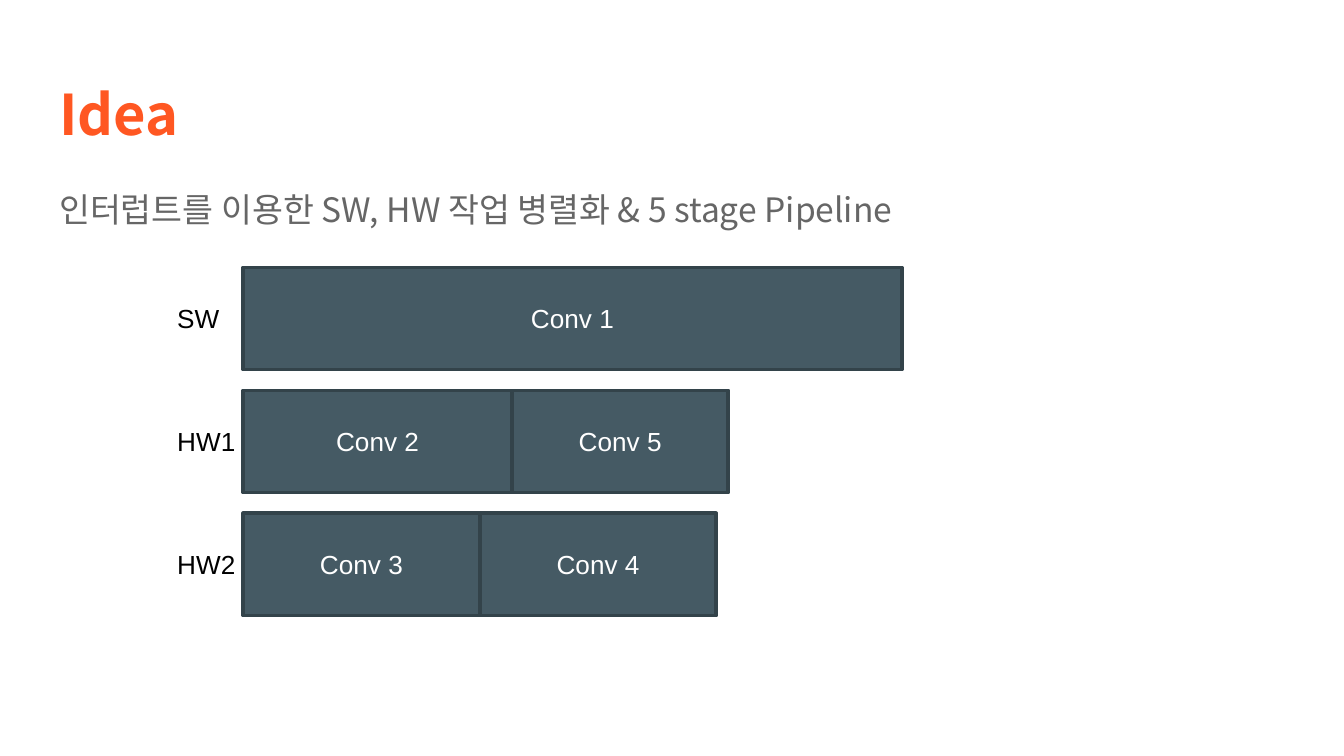
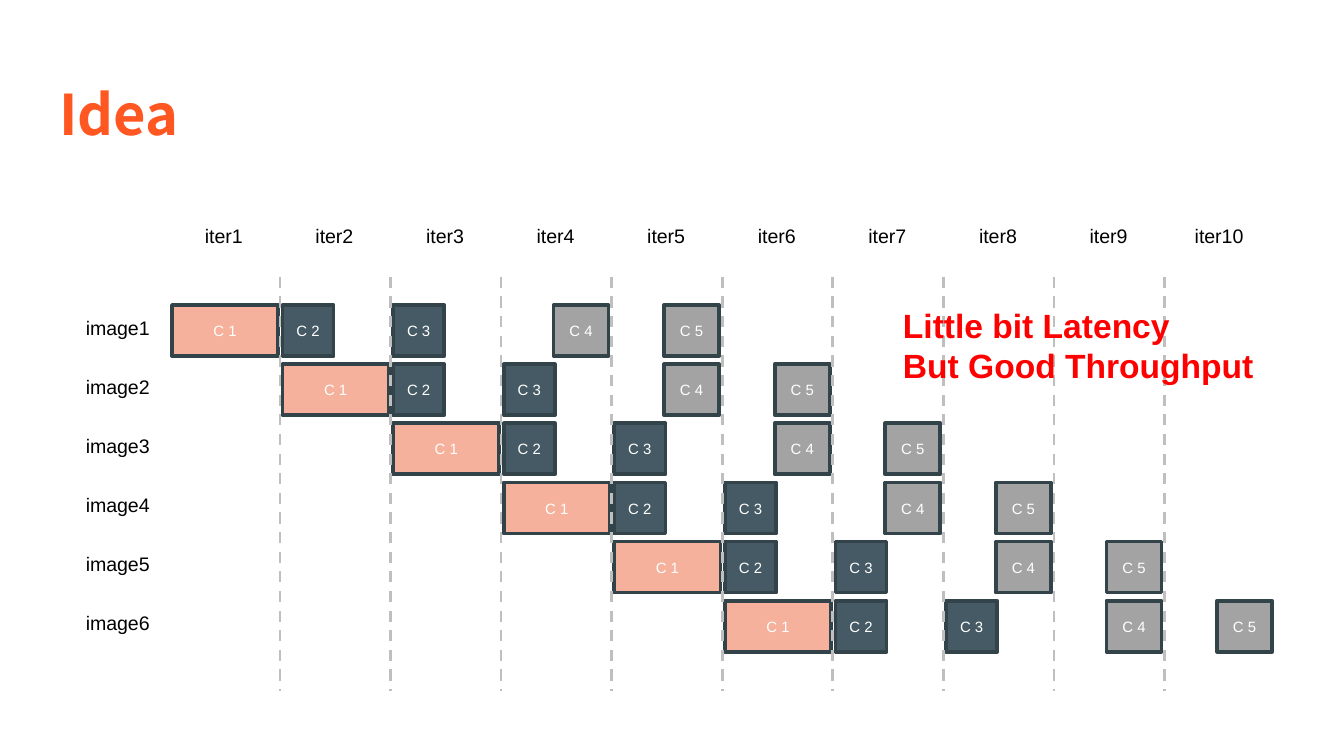
from dataclasses import dataclass
from typing import NamedTuple, Union

import lxml.etree
import pptx
import pptx.dml.color
import pptx.enum.dml
import pptx.enum.shapes
import pptx.enum.text
import pptx.oxml.ns
import pptx.presentation
import pptx.shapes.autoshape
import pptx.shapes.shapetree
import pptx.slide
import pptx.text.text
import pptx.util

Shapes = Union[pptx.shapes.shapetree.SlideShapes, pptx.shapes.shapetree.GroupShapes]
ALIGN = pptx.enum.text.PP_ALIGN
ANCHOR = pptx.enum.text.MSO_ANCHOR
AUTO_SIZE = pptx.enum.text.MSO_AUTO_SIZE
qn = pptx.oxml.ns.qn

SLIDE_WIDTH = 10
SLIDE_HEIGHT = SLIDE_WIDTH * 9 / 16
HEADING_FONT, LABEL_FONT = "Noto Sans CJK KR", "Arial"
ORANGE, GREY, BLACK, WHITE, RED = "FF5722", "666666", "000000", "FFFFFF", "FF0000"
SLATE, SLATE_EDGE, SALMON, SILVER, DIVIDER = "455A64", "33434A", "F5B19B", "A3A3A3", "BFBFBF"


class Box(NamedTuple):
    left: float
    top: float
    width: float
    height: float

    def lengths(self) -> list[pptx.util.Length]:
        return [pptx.util.Inches(value) for value in self]


@dataclass(frozen=True)
class TextStyle:
    size: float
    color: str
    font: str = LABEL_FONT
    bold: bool = False
    align: ALIGN = ALIGN.LEFT


@dataclass(frozen=True)
class Grid:
    left: float
    top: float
    column: float
    row: float

    def x(self, column: float) -> float:
        return self.left + column * self.column

    def y(self, row: float) -> float:
        return self.top + row * self.row


@dataclass(frozen=True)
class Stage:
    """One convolution step, placed some columns after its image starts."""
    name: str
    delay: int
    offset: float
    width: float
    color: str


@dataclass(frozen=True)
class Unit:
    name: str
    jobs: tuple[tuple[str, float], ...]


TITLE_BOX = Box(0.34, 0.49, 9.32, 0.63)
BODY_BOX = Box(0.34, 1.26, 9.32, 3.74)
TITLE_STYLE = TextStyle(30, ORANGE, HEADING_FONT, bold=True)
BODY_STYLE = TextStyle(18, GREY, HEADING_FONT)
JOB_STYLE = TextStyle(14, WHITE, align=ALIGN.CENTER)
UNIT_STYLE = TextStyle(14, BLACK)
STAGE_STYLE = TextStyle(8, WHITE, align=ALIGN.CENTER)
IMAGE_STYLE = TextStyle(10.5, BLACK)
ITERATION_STYLE = TextStyle(10.5, BLACK, align=ALIGN.CENTER)
REMARK_STYLE = TextStyle(18, RED, bold=True)

UNITS = (
    Unit("SW", (("Conv 1", 4.9),)),
    Unit("HW1", (("Conv 2", 2), ("Conv 5", 1.61))),
    Unit("HW2", (("Conv 3", 1.76), ("Conv 4", 1.76))),
)
UNIT_GRID = Grid(left=1.81, top=1.99, column=1, row=1.83 / 2)
JOB_HEIGHT = 0.76

STAGES = (
    Stage("C 1", 0, 0, 0.79, SALMON),
    Stage("C 2", 1, 0, 0.38, SLATE),
    Stage("C 3", 2, 0, 0.38, SLATE),
    Stage("C 4", 3, 0.37, 0.41, SILVER),
    Stage("C 5", 4, 0.37, 0.41, SILVER),
)
IMAGE_COUNT, ITERATION_COUNT = 6, 10
TIME_GRID = Grid(left=1.28, top=2.27, column=5.76 / 7, row=0.44)
STAGE_HEIGHT = 0.38
TIME_LABEL_WIDTH, TIME_LABEL_HEIGHT = 0.69, 0.32


def rgb(color: str) -> pptx.dml.color.RGBColor:
    return pptx.dml.color.RGBColor.from_string(color)


def write(frame: pptx.text.text.TextFrame, text: str, style: TextStyle) -> None:
    frame.text = text
    frame.word_wrap = True
    for paragraph in frame.paragraphs:
        paragraph.alignment = style.align
        paragraph.font.size = pptx.util.Pt(style.size)
        paragraph.font.bold = style.bold
        paragraph.font.color.rgb = rgb(style.color)
        paragraph.font.name = style.font
        latin = paragraph._p.pPr.find(qn("a:defRPr")).find(qn("a:latin"))
        east_asian = lxml.etree.Element(qn("a:ea"))
        east_asian.set("typeface", style.font)
        latin.addnext(east_asian)


def fill_placeholder(shape: pptx.shapes.autoshape.Shape, box: Box, text: str,
                     style: TextStyle) -> None:
    shape.left, shape.top, shape.width, shape.height = box.lengths()
    frame = shape.text_frame
    write(frame, text, style)
    frame.vertical_anchor = ANCHOR.TOP
    frame.auto_size = AUTO_SIZE.NONE
    frame.margin_left = frame.margin_right = pptx.util.Inches(0.1)
    frame.margin_top = frame.margin_bottom = pptx.util.Inches(0.1)


def add_block(shapes: Shapes, box: Box, text: str, color: str, style: TextStyle) -> None:
    shape = shapes.add_shape(pptx.enum.shapes.MSO_SHAPE.RECTANGLE, *box.lengths())
    shape.shadow.inherit = False
    shape.fill.solid()
    shape.fill.fore_color.rgb = rgb(color)
    shape.line.color.rgb = rgb(SLATE_EDGE)
    shape.line.width = pptx.util.Pt(2)
    frame = shape.text_frame
    write(frame, text, style)
    frame.vertical_anchor = ANCHOR.MIDDLE
    frame.margin_left = frame.margin_right = 0


def add_label(shapes: Shapes, box: Box, text: str, style: TextStyle) -> None:
    frame = shapes.add_textbox(*box.lengths()).text_frame
    write(frame, text, style)
    frame.auto_size = AUTO_SIZE.SHAPE_TO_FIT_TEXT


def add_divider(shapes: Shapes, x: float, top: float, bottom: float) -> None:
    ends = [pptx.util.Inches(value) for value in (x, top, x, bottom)]
    connector = shapes.add_connector(pptx.enum.shapes.MSO_CONNECTOR.STRAIGHT, *ends)
    connector.line.color.rgb = rgb(DIVIDER)
    connector.line.width = pptx.util.Pt(1.5)
    connector.line.dash_style = pptx.enum.dml.MSO_LINE.DASH
    lxml.etree.SubElement(connector._element.spPr, qn("a:effectLst"))


def add_idea_slide(presentation: pptx.presentation.Presentation,
                   layout_name: str) -> pptx.slide.Slide:
    layout = presentation.slide_layouts.get_by_name(layout_name)
    slide = presentation.slides.add_slide(layout)
    fill_placeholder(slide.shapes.title, TITLE_BOX, "Idea", TITLE_STYLE)
    return slide


def add_body(slide: pptx.slide.Slide, text: str) -> None:
    """Fill the body placeholder with one unbulleted line."""
    body = slide.placeholders[1]
    fill_placeholder(body, BODY_BOX, text, BODY_STYLE)
    paragraph = body.text_frame.paragraphs[0]
    paragraph.line_spacing = 1.15
    paragraph.space_before = pptx.util.Pt(0)
    properties = paragraph._p.pPr
    properties.set("marL", "0")
    properties.set("indent", "0")
    properties.find(qn("a:defRPr")).addprevious(lxml.etree.Element(qn("a:buNone")))


def build_parallel_slide(presentation: pptx.presentation.Presentation) -> None:
    slide = add_idea_slide(presentation, "Title and Content")
    add_body(slide, "인터럽트를 이용한 SW, HW 작업 병렬화 & 5 stage Pipeline")
    label_height = 0.34
    for row, unit in enumerate(UNITS):
        left, top = UNIT_GRID.left, UNIT_GRID.y(row)
        for name, width in unit.jobs:
            add_block(slide.shapes, Box(left, top, width, JOB_HEIGHT), name, SLATE, JOB_STYLE)
            left += width
        label_top = top + (JOB_HEIGHT - label_height) / 2
        add_label(slide.shapes, Box(1.22, label_top, 0.79, label_height), unit.name, UNIT_STYLE)


def build_pipeline_slide(presentation: pptx.presentation.Presentation) -> None:
    slide = add_idea_slide(presentation, "Title Only")
    shapes = slide.shapes.add_group_shape().shapes
    for image in range(IMAGE_COUNT):
        top = TIME_GRID.y(image)
        for stage in STAGES:
            left = TIME_GRID.x(image + stage.delay) + stage.offset
            add_block(shapes, Box(left, top, stage.width, STAGE_HEIGHT),
                      stage.name, stage.color, STAGE_STYLE)
        label_top = top + (STAGE_HEIGHT - TIME_LABEL_HEIGHT) / 2
        add_label(shapes, Box(0.54, label_top, TIME_LABEL_WIDTH, TIME_LABEL_HEIGHT),
                  f"image{image + 1}", IMAGE_STYLE)
    for iteration in range(ITERATION_COUNT):
        left = TIME_GRID.x(iteration)
        if iteration > 0:
            add_divider(shapes, left - 0.02, 2.06, 5.14)
        add_label(shapes, Box(left + 0.04, 1.62, TIME_LABEL_WIDTH, TIME_LABEL_HEIGHT),
                  f"iter{iteration + 1}", ITERATION_STYLE)
    add_label(slide.shapes, Box(6.62, 2.22, 3.41, 0.71),
              "Little bit Latency\nBut Good Throughput", REMARK_STYLE)


def main() -> None:
    presentation = pptx.Presentation()
    presentation.slide_width = pptx.util.Inches(SLIDE_WIDTH)
    presentation.slide_height = pptx.util.Inches(SLIDE_HEIGHT)
    build_parallel_slide(presentation)
    build_pipeline_slide(presentation)
    presentation.save("out.pptx")


if __name__ == "__main__":
    main()
